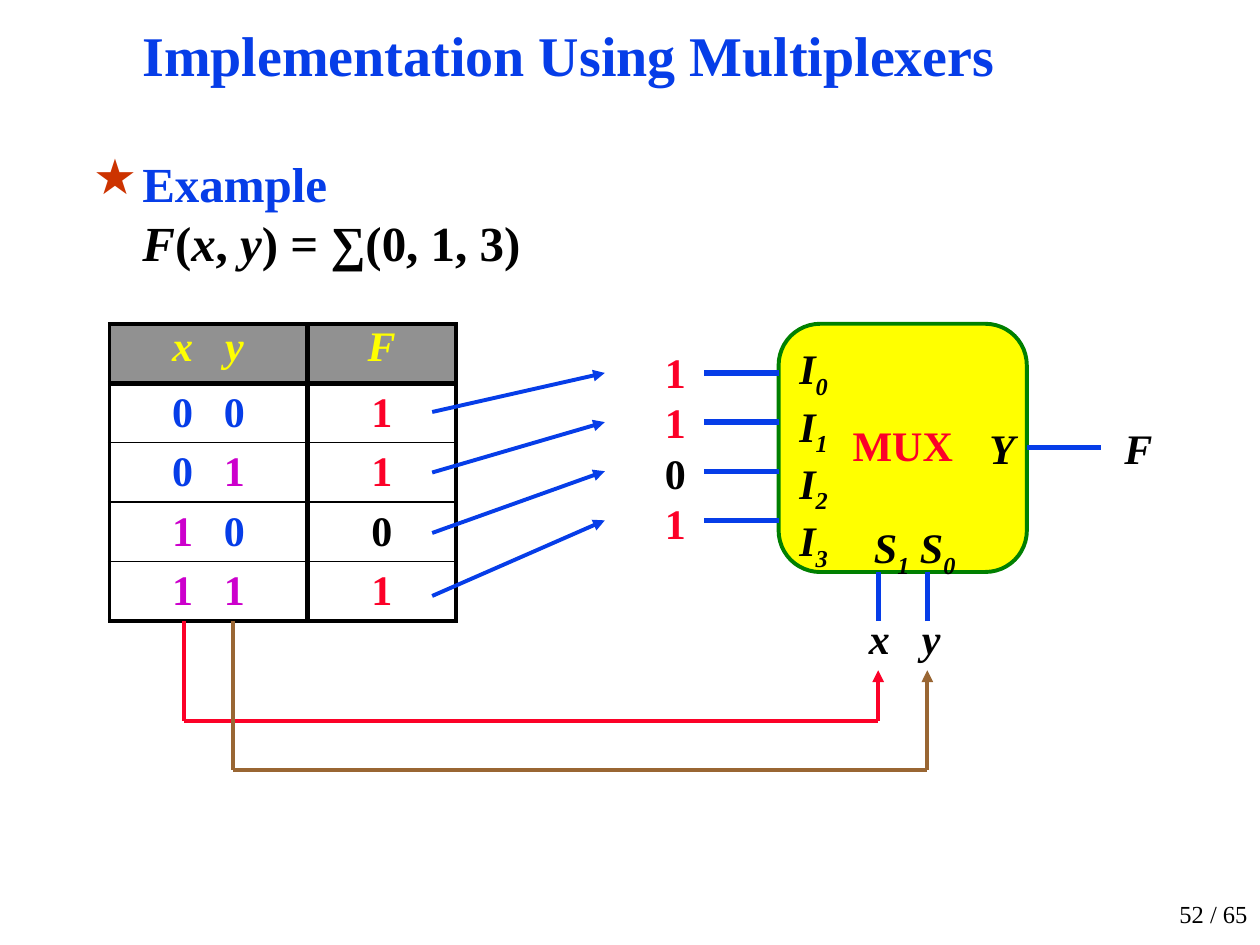
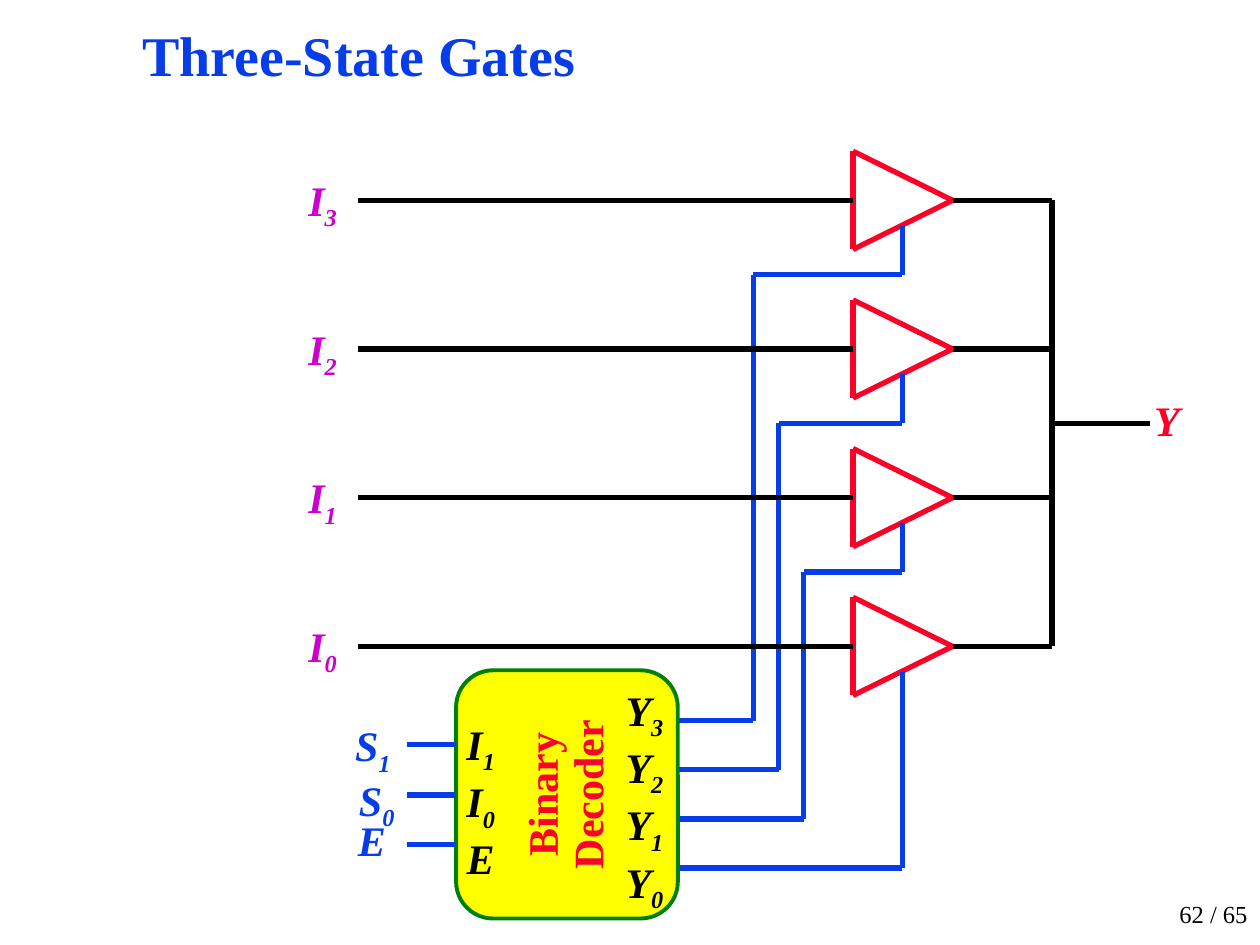
"""Builds two slides on multiplexers and three-state gates."""
from lxml import etree
from pptx import Presentation
from pptx.dml.color import RGBColor
from pptx.enum import shapes, text
from pptx.oxml import ns, parse_xml
from pptx.util import Inches, Pt

BLUE, RED, PURPLE, BROWN = "063DE8", "FC0128", "CC00CC", "996633"
BLACK, YELLOW, GREEN, GRAY, STAR = "000000", "FFFF00", "008000", "919191", "CC3300"
FONT = "Times New Roman"
LEFT, CENTER, RIGHT = text.PP_ALIGN.LEFT, text.PP_ALIGN.CENTER, text.PP_ALIGN.RIGHT
ink = RGBColor.from_string


def write(frame, lines, hue, size=24, bold=True, italic=True, align=CENTER,
          spacing=None, inset=(0, 0), wrap=True):
    """Write lines of text or of (text, hue, italic) spans; _ marks a subscript."""
    frame.word_wrap = wrap
    frame.margin_left = frame.margin_right = Inches(inset[0])
    frame.margin_top = frame.margin_bottom = Inches(inset[1])
    for index, line in enumerate(lines):
        para = frame.add_paragraph() if index else frame.paragraphs[0]
        para.alignment = align
        if spacing:
            para.line_spacing = spacing
        spans = [(line, hue, italic)] if isinstance(line, str) else line
        for words, tint, slanted in spans:
            if words == "\v":
                para.add_line_break()
                continue
            head, *tails = words.split("_")
            pieces = [(head, False)]
            for tail in tails:
                pieces += [(tail[0], True), (tail[1:], False)]
            for piece, lowered in pieces:
                if not piece:
                    continue
                span = para.add_run()
                span.text = piece
                span.font.name, span.font.size = FONT, Pt(size)
                span.font.bold, span.font.italic = bold, slanted
                span.font.color.rgb = ink(tint)
                if lowered:
                    span.font._element.set("baseline", "-25000")


def wire(page, points, hue, width=3, arrow=False):
    """Join the points with straight lines, the last with an optional arrowhead."""
    for start, end in zip(points, points[1:]):
        line = page.shapes.add_connector(
            shapes.MSO_CONNECTOR.STRAIGHT, *map(Inches, start + end))
        line.line.color.rgb = ink(hue)
        line.line.width = Pt(width)
        etree.SubElement(line._element.spPr, ns.qn("a:effectLst"))
    if arrow:
        etree.SubElement(line.line._get_or_add_ln(), ns.qn("a:tailEnd"), type="triangle")


deck = Presentation()
deck.slide_width, deck.slide_height = Inches(10), Inches(7.5)
pages = []
for title, number in (("Implementation Using Multiplexers", "52 / 65"),
                      ("Three-State Gates", "62 / 65")):
    page = deck.slides.add_slide(deck.slide_layouts[6])
    box = page.shapes.add_textbox(*map(Inches, (8.69, 7.1, 1.31, 0.32)))
    box.text_frame.vertical_anchor = text.MSO_ANCHOR.BOTTOM
    write(box.text_frame, [number], BLACK, 14, False, False, RIGHT, inset=(0.1, 0.05))
    box = page.shapes.add_textbox(*map(Inches, (1.06, 0.21, 8.66, 0.52)))
    write(box.text_frame, [title], BLUE, 32, True, False, LEFT, 0.87, (0.07, 0.03))
    pages.append(page)
mux_page, gate_page = pages

blocks = (
    (mux_page, (6.18, 2.57, 1.97, 1.97), ["MUX"], "horz"),
    (gate_page, (3.62, 5.32, 1.76, 1.97),
     [[("Binary", RED, False), ("\v", RED, False), ("Decoder", RED, False)]], "vert270"),
)
for page, place, words, direction in blocks:
    block = page.shapes.add_shape(shapes.MSO_SHAPE.ROUNDED_RECTANGLE, *map(Inches, place))
    block.shadow.inherit = False
    block.fill.solid()
    block.fill.fore_color.rgb = ink(YELLOW)
    block.line.color.rgb = ink(GREEN)
    block.line.width = Pt(2.25)
    block.text_frame.vertical_anchor = text.MSO_ANCHOR.MIDDLE
    write(block.text_frame, words, RED, italic=False, spacing=0.9, wrap=False)
    block.text_frame._txBody.bodyPr.set("vert", direction)

box = mux_page.shapes.add_textbox(*map(Inches, (0.67, 1.19, 9.06, 0.99)))
formula = [("Example", BLUE, False), ("\v", BLUE, False)]
for index, words in enumerate(("F", "(", "x", ", ", "y", ") = ∑(0, 1, 3)")):
    formula.append((words, BLACK, index % 2 == 0))
props = box.text_frame.paragraphs[0]._p.get_or_add_pPr()
props.set("marL", str(Inches(0.39)))
props.set("indent", str(-Inches(0.39)))
color = etree.SubElement(props, ns.qn("a:buClr"))
etree.SubElement(color, ns.qn("a:srgbClr"), val=STAR)
etree.SubElement(props, ns.qn("a:buChar"), char="★")
write(box.text_frame, [formula], BLACK, 28, align=LEFT, inset=(0.07, 0.03))

truth = [("x", "y", "F"), ("0", "0", "1"), ("0", "1", "1"), ("1", "0", "0"), ("1", "1", "1")]
input_hues = {"0": BLUE, "1": PURPLE}
output_hues = {"0": BLACK, "1": RED}
row_edges, column_edges = [2.25, 3, 1, 1, 1, 2.25], [2.25, 3, 2.25]
table = mux_page.shapes.add_table(5, 2, *map(Inches, (0.87, 2.57, 2.75, 2.36))).table
table.first_row = table.horz_banding = False
table.columns[0].width, table.columns[1].width = Inches(1.57), Inches(1.18)
for row, (x, y, result) in enumerate(truth):
    table.rows[row].height = Inches(2.36 / 5)
    header = row == 0
    inputs = [("\t" + value, input_hues.get(value, YELLOW), header) for value in (x, y)]
    output = [(result, output_hues.get(result, YELLOW), header)]
    for column, spans in enumerate((inputs, output)):
        cell = table.cell(row, column)
        cell.margin_left = cell.margin_right = cell.margin_top = cell.margin_bottom = 0
        cell.vertical_anchor = text.MSO_ANCHOR.TOP if header else text.MSO_ANCHOR.MIDDLE
        if header:
            cell.fill.solid()
            cell.fill.fore_color.rgb = ink(GRAY)
        else:
            cell.fill.background()
        if column == 0:
            props = cell.text_frame.paragraphs[0]._p.get_or_add_pPr()
            stops = etree.SubElement(props, ns.qn("a:tabLst"))
            for stop in (0.58, 0.99):
                etree.SubElement(stops, ns.qn("a:tab"), pos=str(Inches(stop)), algn="ctr")
        write(cell.text_frame, [spans], BLACK, align=CENTER if column else LEFT)
        edges = (("L", column_edges[column]), ("R", column_edges[column + 1]),
                 ("T", row_edges[row]), ("B", row_edges[row + 1]))
        for index, (side, width) in enumerate(edges):
            cell._tc.get_or_add_tcPr().insert(index, parse_xml(
                f'<a:ln{side} {ns.nsdecls("a")} w="{Pt(width)}"><a:solidFill>'
                f'<a:srgbClr val="{BLACK}"/></a:solidFill></a:ln{side}>'))

for index, source in enumerate((3.27, 3.75, 4.23, 4.73)):
    port = 2.96 + 0.39 * index
    wire(mux_page, [(5.59, port), (6.18, port)], BLUE)
    wire(mux_page, [(3.43, source), (4.8, port)], BLUE, 2.25, True)
wire(mux_page, [(8.15, 3.55), (8.74, 3.55)], BLUE)
for start, select, bottom, hue in ((1.46, 6.97, 5.72, RED), (1.85, 7.36, 6.11, BROWN)):
    wire(mux_page, [(select, 4.93), (select, 4.54)], BLUE)
    wire(mux_page, [(start, 4.93), (start, bottom), (select, bottom), (select, 5.32)],
         hue, 2.25, True)

for index in range(4):
    middle = 1.59 + 1.18 * index
    output = 5.72 + 0.39 * index
    lane = 5.98 + 0.2 * index
    turn = middle + 0.59
    wire(gate_page, [(6.77, middle - 0.39), (7.56, middle), (6.77, middle + 0.39),
                     (6.77, middle - 0.39)], RED)
    wire(gate_page, [(2.84, middle), (6.77, middle)], BLACK)
    wire(gate_page, [(7.56, middle), (8.35, middle)], BLACK)
    route = [(lane, output), (lane, turn), (7.16, turn)] if index < 3 else [(7.16, output)]
    wire(gate_page, [(5.39, output), *route, (7.16, middle + 0.2)], BLUE)
    box = gate_page.shapes.add_textbox(*map(Inches, (2.44, middle - 0.2, 0.24, 0.36)))
    write(box.text_frame, [f"I_{3 - index}"], PURPLE, spacing=0.9, wrap=False)
wire(gate_page, [(8.35, 1.59), (8.35, 5.13)], BLACK)
wire(gate_page, [(8.35, 3.36), (9.13, 3.36)], BLACK)
for port in (5.91, 6.31, 6.7):
    wire(gate_page, [(3.23, port), (3.62, port)], BLUE)

for place, words, hue in (((9.16, 3.18, 0.2, 0.36), "Y", RED),
                          ((2.81, 5.72, 0.3, 0.36), "S_1", BLUE),
                          ((2.84, 6.15, 0.3, 0.36), "S_0", BLUE),
                          ((2.84, 6.51, 0.22, 0.36), "E", BLUE)):
    box = gate_page.shapes.add_textbox(*map(Inches, place))
    write(box.text_frame, [words], hue, spacing=0.9, wrap=False)

digits = [[(row[2], output_hues[row[2]], False)] for row in truth[1:]]
for page, place, lines, align in (
        (mux_page, (7.76, 3.35, 0.39, 0.4), ["Y"], CENTER),
        (mux_page, (6.18, 2.72, 0.39, 1.6), ["I_0", "I_1", "I_2", "I_3"], RIGHT),
        (mux_page, (6.77, 4.14, 0.98, 0.4), ["S_1 S_0"], CENTER),
        (mux_page, (6.81, 4.86, 0.34, 0.4), ["x"], CENTER),
        (mux_page, (7.22, 4.86, 0.34, 0.4), ["y"], CENTER),
        (mux_page, (8.74, 3.35, 0.59, 0.4), ["F"], CENTER),
        (mux_page, (5.2, 2.75, 0.32, 1.6), digits, CENTER),
        (gate_page, (3.62, 5.7, 0.39, 1.2), ["I_1", "I_0", "E"], CENTER),
        (gate_page, (4.92, 5.43, 0.39, 1.6), ["Y_3", "Y_2", "Y_1", "Y_0"], CENTER)):
    box = page.shapes.add_textbox(*map(Inches, place))
    write(box.text_frame, lines, BLACK, align=align)

deck.save("out.pptx")
